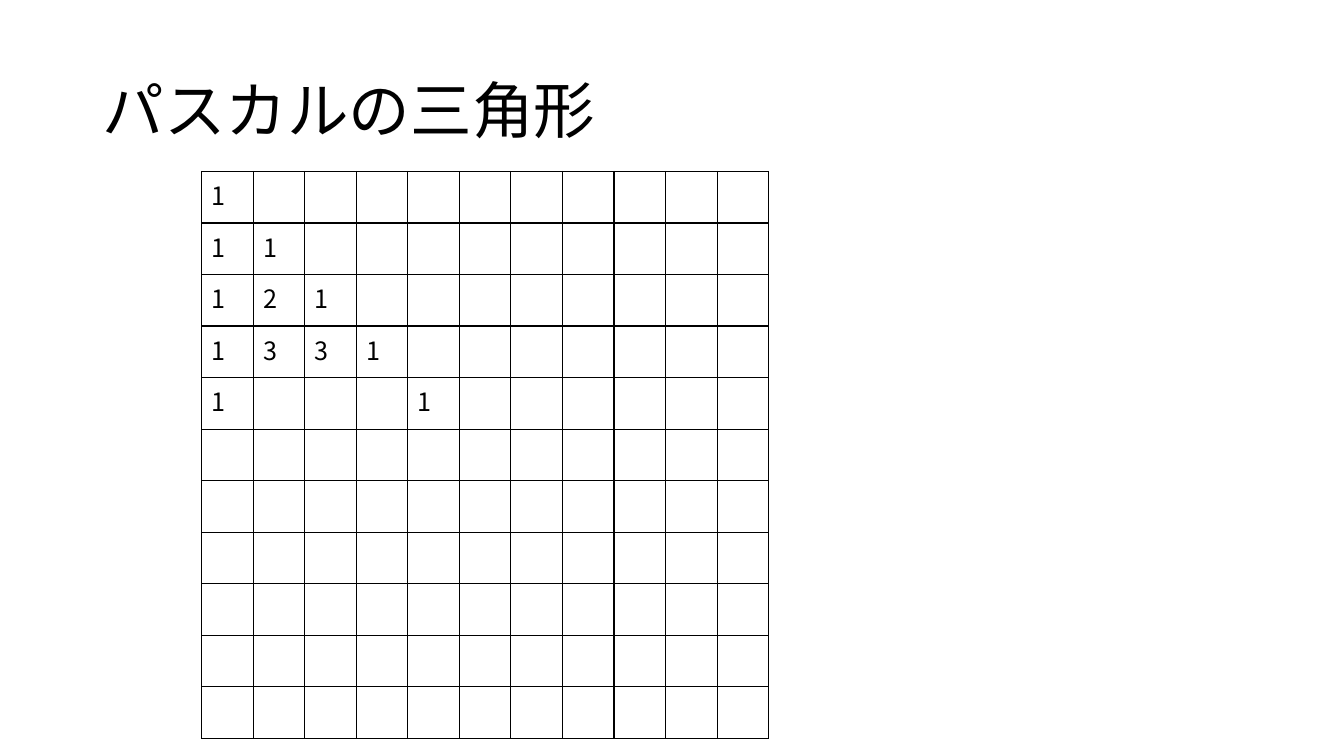
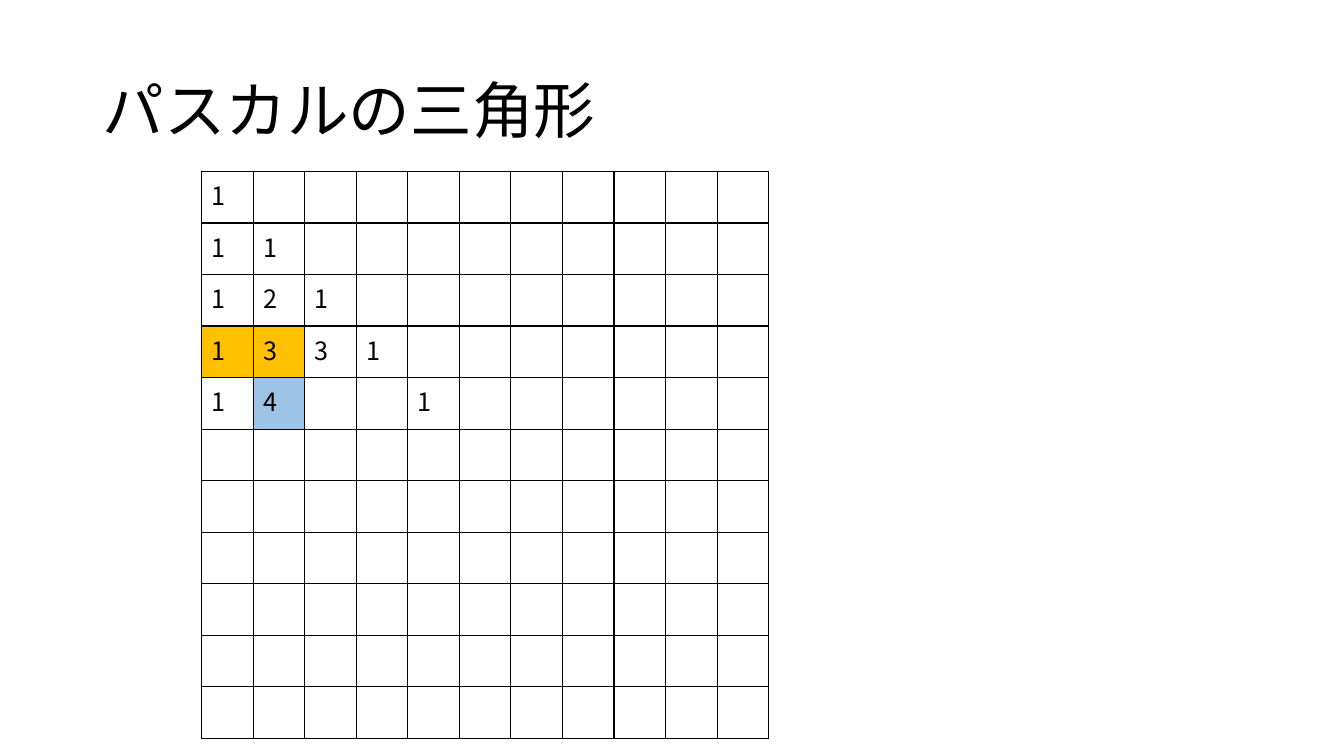
from dataclasses import dataclass
from itertools import product
from math import comb

from lxml.etree import SubElement
from pptx import Presentation
from pptx.dml.color import RGBColor
from pptx.enum.text import MSO_ANCHOR as Anchor, MSO_AUTO_SIZE as AutoSize, PP_ALIGN as Align
from pptx.oxml.ns import qn
from pptx.util import Pt


@dataclass(frozen=True)
class Theme:
    font: str = "Noto Sans CJK JP"
    ink: str = "000000"
    paper: str = "FFFFFF"
    source: str = "FFC000"
    result: str = "9DC3E6"
    title_size: int = 44
    cell_size: int = 18
    border: int = 1


class Deck:
    def __init__(self, theme):
        self.theme = theme
        self.presentation = Presentation()
        self.presentation.slide_width = Pt(960)
        self.presentation.slide_height = Pt(540)
        self.slide = None

    def add_slide(self, title):
        layout = self.presentation.slide_layouts.get_by_name("Title Only")
        self.slide = self.presentation.slides.add_slide(layout)
        fill = self.slide.background.fill
        fill.solid()
        fill.fore_color.rgb = RGBColor.from_string(self.theme.paper)
        shape = self.slide.shapes.title
        shape.left, shape.top, shape.width, shape.height = Pt(66), Pt(28.8), Pt(828), Pt(104.4)
        text_frame = shape.text_frame
        text_frame.text = title
        text_frame.auto_size = AutoSize.NONE
        text_frame.vertical_anchor = Anchor.MIDDLE
        text_frame.paragraphs[0].line_spacing = 0.9
        self.format_text(text_frame, self.theme.title_size)

    def format_text(self, text_frame, size):
        for paragraph in text_frame.paragraphs:
            paragraph.alignment = Align.LEFT
            for run in paragraph.runs:
                run.font.name = self.theme.font
                run.font.size = Pt(size)
                run.font.color.rgb = RGBColor.from_string(self.theme.ink)
                SubElement(run.font._element, qn("a:ea"), typeface=self.theme.font)

    def add_border(self, cell):
        properties = cell._tc.get_or_add_tcPr()
        for side in ("L", "R", "T", "B"):
            line = SubElement(properties, qn(f"a:ln{side}"), w=str(Pt(self.theme.border)))
            fill = SubElement(line, qn("a:solidFill"))
            SubElement(fill, qn("a:srgbClr"), val=self.theme.ink)

    def add_grid(self, left, top, count, step, numbers, highlights):
        side = Pt(count * step)
        table = self.slide.shapes.add_table(count, count, Pt(left), Pt(top), side, side).table
        table.first_row = table.horz_banding = False
        for line in (*table.rows, *table.columns):
            setattr(line, "height" if line in tuple(table.rows) else "width", Pt(step))
        for position in product(range(count), repeat=2):
            cell = table.cell(*position)
            self.add_border(cell)
            cell.fill.solid()
            color = highlights.get(position, self.theme.paper)
            cell.fill.fore_color.rgb = RGBColor.from_string(color)
            if position in numbers:
                cell.text_frame.text = str(numbers[position])
                self.format_text(cell.text_frame, self.theme.cell_size)


theme = Theme()
deck = Deck(theme)
full_rows = 4
triangle = {(row, column): comb(row, column) for row in range(full_rows) for column in range(row + 1)}
edges = {(full_rows, column): 1 for column in (0, full_rows)}
start = triangle | edges
next_step = start | {(4, 1): start[3, 0] + start[3, 1]}
sum_colors = {(3, 0): theme.source, (3, 1): theme.source, (4, 1): theme.result}

for numbers, highlights in ((start, {}), (next_step, sum_colors)):
    deck.add_slide("パスカルの三角形")
    deck.add_grid(144, 122.4, 11, 36.85, numbers, highlights)

deck.presentation.save("out.pptx")
